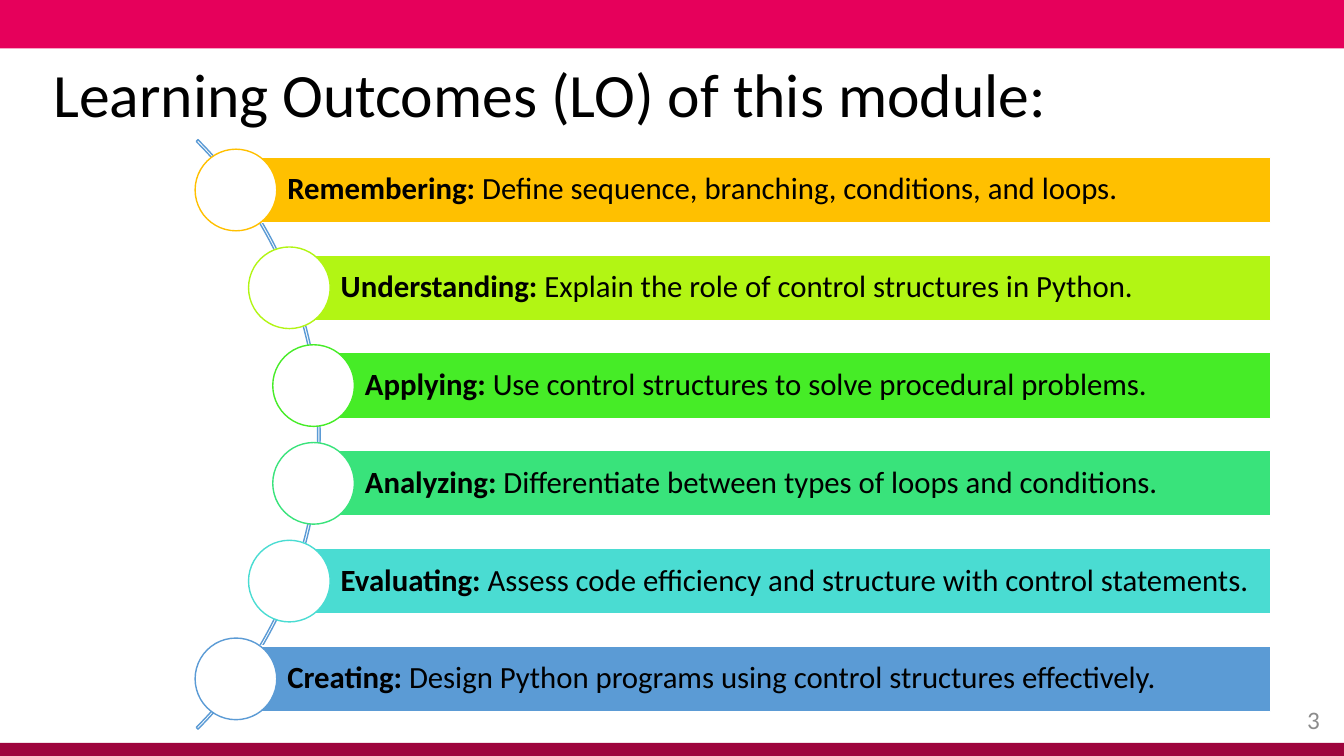
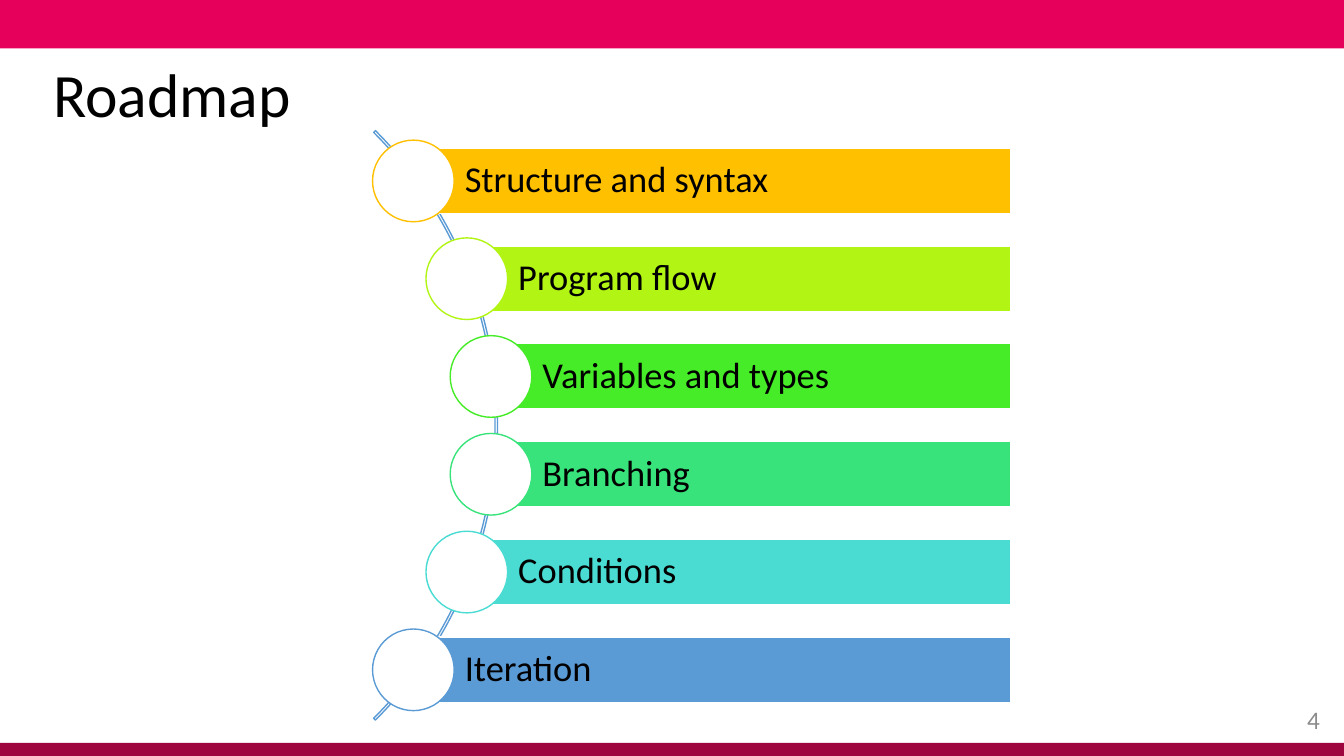
from pptx import Presentation
from pptx import util as u
from pptx.dml.color import RGBColor
from pptx.enum import shapes, text

BLACK = RGBColor(0x00, 0x00, 0x00)
WHITE = RGBColor(0xFF, 0xFF, 0xFF)
GRAY = RGBColor(0x8C, 0x8C, 0x8C)
PINK = RGBColor(0xE6, 0x00, 0x5B)
CRIMSON = RGBColor(0x9E, 0x04, 0x3D)
BLUE = RGBColor(0x5B, 0x9B, 0xD5)
ROW_COLORS = [
    RGBColor(0xFF, 0xC0, 0x00),
    RGBColor(0xB2, 0xF5, 0x14),
    RGBColor(0x46, 0xEC, 0x27),
    RGBColor(0x39, 0xE3, 0x7B),
    RGBColor(0x4A, 0xDC, 0xD2),
    BLUE,
]
FONT = "Calibri"

SLIDES = [
    {
        "number": 3,
        "title": "Learning Outcomes (LO) of this module:",
        "left": 2.34, "right": 12.6, "top": 1.56, "size": 22, "inset": 0.06,
        "rows": [
            ("Remembering:", " Define sequence, branching, conditions, and loops."),
            ("Understanding:", " Explain the role of control structures in Python."),
            ("Applying:", " Use control structures to solve procedural problems."),
            ("Analyzing:", " Differentiate between types of loops and conditions."),
            ("Evaluating:", " Assess code efficiency and structure with control statements."),
            ("Creating:", " Design Python programs using control structures effectively."),
        ],
    },
    {
        "number": 4,
        "title": "Roadmap",
        "left": 4.1, "right": 10.02, "top": 1.47, "size": 26, "inset": 0.07,
        "rows": [
            ("", "Structure and syntax"),
            ("", "Program flow"),
            ("", "Variables and types"),
            ("", "Branching"),
            ("", "Conditions"),
            ("", "Iteration"),
        ],
    },
]

WIDTH, HEIGHT = 13.33, 7.5
INDENTS = [0, 0.53, 0.77, 0.77, 0.53, 0]
BAR_HEIGHT = 0.65
PITCH = 0.97
CIRCLE = 0.81
ARC = 8.27
ARC_TO_BAR = 3.3


def add_shape(page, kind, left, top, width, height, fill=None, line=None):
    shape = page.shapes.add_shape(kind, *map(u.Inches, (left, top, width, height)))
    shape.shadow.inherit = False
    if fill is None:
        shape.fill.background()
    else:
        shape.fill.solid()
        shape.fill.fore_color.rgb = fill
    if line is None:
        shape.line.fill.background()
    else:
        shape.line.color.rgb = line
        shape.line.width = u.Pt(1)
    return shape


def style_paragraph(para, size, color=BLACK, align=text.PP_ALIGN.LEFT):
    para.alignment = align
    para.line_spacing = 0.9
    para.font.name = FONT
    para.font.size = u.Pt(size)
    para.font.color.rgb = color


def add_label(page, words, left, top, width, height, **style):
    box = page.shapes.add_textbox(*map(u.Inches, (left, top, width, height)))
    box.text_frame.word_wrap = True
    para = box.text_frame.paragraphs[0]
    para.text = words
    style_paragraph(para, **style)


def add_frame(page, title, number):
    rect = shapes.MSO_SHAPE.RECTANGLE
    add_shape(page, rect, 0, 0, WIDTH, 0.48, PINK)
    add_shape(page, rect, 0, 7.37, WIDTH, HEIGHT - 7.37, CRIMSON)
    add_label(page, str(number), 10.94, 6.97, 2.25, 0.4,
              size=18, color=GRAY, align=text.PP_ALIGN.RIGHT)
    add_label(page, title, 0.43, 0.59, 12.36, 1.1, size=44)


def add_bar_text(bar, lead, rest, size, inset):
    frame = bar.text_frame
    frame.word_wrap = True
    frame.vertical_anchor = text.MSO_ANCHOR.MIDDLE
    frame.margin_left = u.Inches(0.51)
    frame.margin_right = frame.margin_top = frame.margin_bottom = u.Inches(inset)
    para = frame.paragraphs[0]
    style_paragraph(para, size)
    for words, bold in ((lead, True), (rest, False)):
        if words:
            span = para.add_run()
            span.text = words
            span.font.bold = bold


def add_curved_list(page, left, right, top, size, inset, rows):
    middle = top + (PITCH * (len(rows) - 1) + BAR_HEIGHT) / 2
    arc = add_shape(page, shapes.MSO_SHAPE.BLOCK_ARC, left - ARC_TO_BAR - ARC / 2,
                    middle - ARC / 2, ARC, ARC, line=BLUE)
    for index, value in enumerate((189, 27, 0.003)):
        arc.adjustments[index] = value

    for index, ((lead, rest), indent, color) in enumerate(zip(rows, INDENTS, ROW_COLORS)):
        x, y = left + indent, top + index * PITCH
        bar = add_shape(page, shapes.MSO_SHAPE.RECTANGLE, x, y, right - x, BAR_HEIGHT,
                        color, WHITE)
        add_bar_text(bar, lead, rest, size, inset)
        add_shape(page, shapes.MSO_SHAPE.OVAL, x - CIRCLE / 2,
                  y + (BAR_HEIGHT - CIRCLE) / 2, CIRCLE, CIRCLE, WHITE, color)


def main():
    deck = Presentation()
    deck.slide_width, deck.slide_height = u.Inches(WIDTH), u.Inches(HEIGHT)
    for content in SLIDES:
        page = deck.slides.add_slide(deck.slide_layouts[6])
        add_frame(page, content["title"], content["number"])
        add_curved_list(page, content["left"], content["right"], content["top"],
                        content["size"], content["inset"], content["rows"])
    deck.save("out.pptx")


if __name__ == "__main__":
    main()
